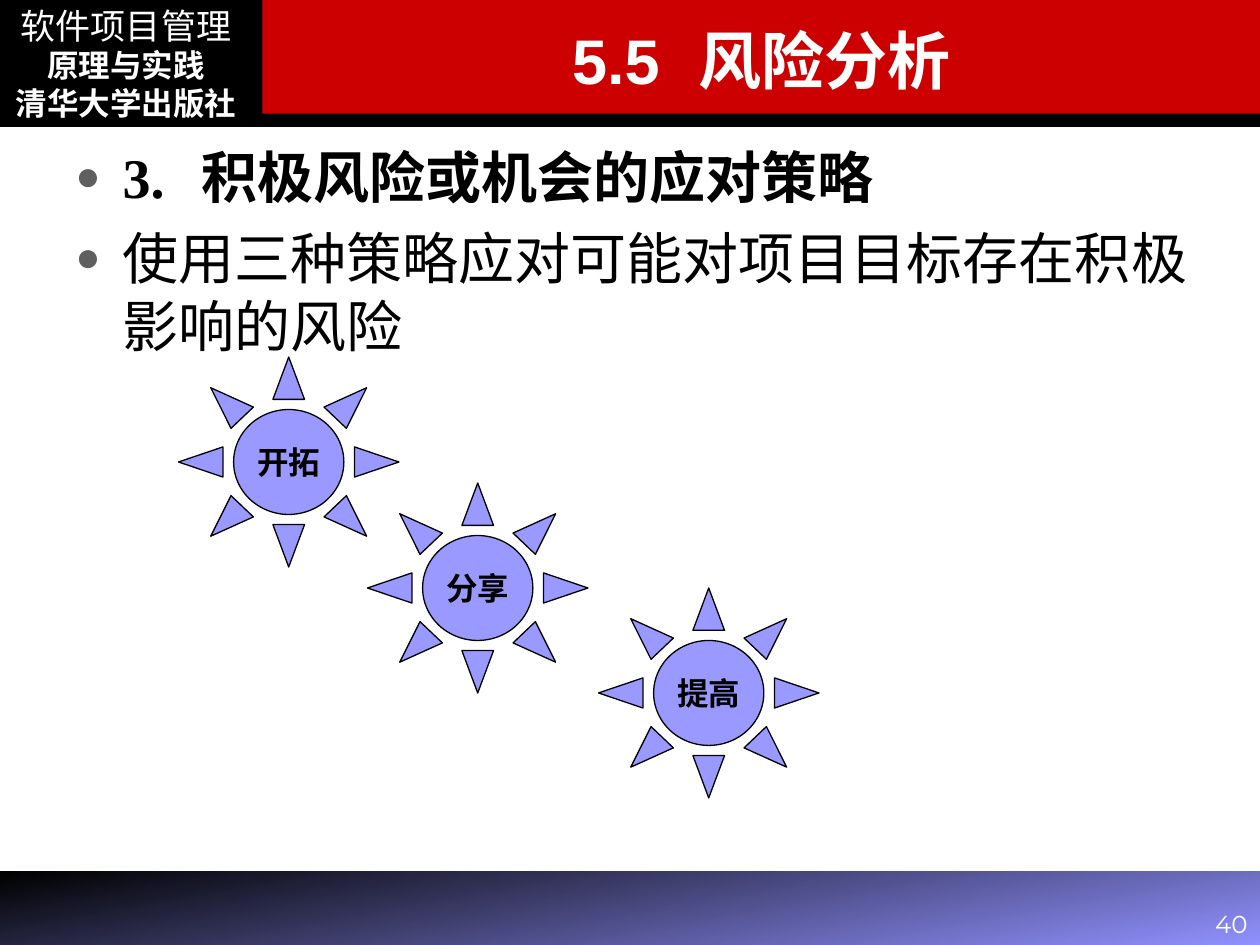
import pptx
import pptx.dml.color
import pptx.enum.shapes
import pptx.enum.text
import pptx.oxml
import pptx.oxml.ns
import pptx.util
from dataclasses import dataclass

Pt = pptx.util.Pt
Shape = pptx.enum.shapes.MSO_SHAPE
Align = pptx.enum.text.PP_ALIGN
Anchor = pptx.enum.text.MSO_ANCHOR
INCH = Pt(72)


@dataclass(frozen=True)
class Theme:
    black: str = "000000"
    white: str = "FFFFFF"
    banner: str = "CC0000"
    footer: str = "9191FF"
    sun: str = "9999FF"
    bullet: str = "5F5F5F"
    serif: str = "Times New Roman"
    sans: str = "Arial"
    number: str = "Montserrat"
    title_size: int = 36
    body_size: int = 32
    series_size: int = 20
    label_size: int = 18
    number_size: int = 14


def rgb(value):
    return pptx.dml.color.RGBColor.from_string(value)


class SlideBuilder:
    def __init__(self, slide, theme):
        self.slide = slide
        self.theme = theme

    def shape(self, kind, left, top, width, height, fill, line_width=0):
        shape = self.slide.shapes.add_shape(kind, Pt(left), Pt(top), Pt(width), Pt(height))
        shape.shadow.inherit = False
        shape.fill.solid()
        shape.fill.fore_color.rgb = rgb(fill)
        if line_width:
            shape.line.color.rgb = rgb(self.theme.black)
            shape.line.width = Pt(line_width)
        else:
            shape.line.fill.background()
        return shape

    def gradient_bar(self, left, top, width, height, colors):
        bar = self.shape(Shape.RECTANGLE, left, top, width, height, colors[0])
        bar.fill.gradient()
        bar.fill.gradient_angle = 280
        for stop, color, position in zip(bar.fill.gradient_stops, colors, (0, 1)):
            stop.color.rgb = rgb(color)
            stop.position = position

    def text_box(self, left, top, width, height, anchor):
        box = self.slide.shapes.add_textbox(Pt(left), Pt(top), Pt(width), Pt(height))
        box.text_frame.word_wrap = True
        box.text_frame.vertical_anchor = anchor
        return box.text_frame

    def paragraph(self, frame, text, size, font, color, bold=False, align=Align.LEFT):
        first = frame.paragraphs[0]
        para = frame.add_paragraph() if first.runs else first
        para.alignment = align
        span = para.add_run()
        span.text = text
        span.font.size = Pt(size)
        span.font.name = font
        span.font.bold = bold
        span.font.color.rgb = rgb(color)
        return para

    def tabs(self, para, inches):
        stops = "".join(f'<a:tab pos="{INCH * inch}" algn="l"/>' for inch in inches)
        namespace = pptx.oxml.ns.nsdecls("a")
        para._p.get_or_add_pPr().append(
            pptx.oxml.parse_xml(f"<a:tabLst {namespace}>{stops}</a:tabLst>"))

    def bullet(self, frame, text, bold=False):
        theme = self.theme
        first = not frame.paragraphs[0].runs
        para = self.paragraph(frame, text, theme.body_size, theme.serif, theme.black, bold)
        properties = para._p.get_or_add_pPr()
        properties.set("marL", str(Pt(27)))
        properties.set("indent", str(-Pt(27)))
        namespace = pptx.oxml.ns.nsdecls("a")
        for xml in (
            f'<a:buClr {namespace}><a:srgbClr val="{theme.bullet}"/></a:buClr>',
            f'<a:buSzPct {namespace} val="75000"/>',
            f'<a:buFont {namespace} typeface="{theme.sans}"/>',
            f'<a:buChar {namespace} char="●"/>',
        ):
            properties.append(pptx.oxml.parse_xml(xml))
        self.tabs(para, range(1, 9))
        para.space_before = Pt(0 if first else 8)

    def sun(self, left, top, label):
        theme = self.theme
        sun = self.shape(Shape.SUN, left, top, 126, 120, theme.sun, 0.75)
        sun.adjustments[0] = 0.25
        frame = sun.text_frame
        frame.word_wrap = False
        frame.vertical_anchor = Anchor.MIDDLE
        self.paragraph(frame, label, theme.label_size, theme.serif, theme.black, True, Align.CENTER)


def main():
    theme = Theme()
    deck = pptx.Presentation()
    deck.slide_width, deck.slide_height = Pt(720), Pt(540)
    page = SlideBuilder(deck.slides.add_slide(deck.slide_layouts[6]), theme)

    page.gradient_bar(0, 498, 720, 42, (theme.black, theme.footer))
    page.shape(Shape.RECTANGLE, 0, 0, 720, 72, theme.black, 1)
    page.shape(Shape.RECTANGLE, 150, -1, 570, 66, theme.banner)

    series = page.text_box(6, 6, 132, 60, Anchor.MIDDLE)
    series.margin_left = series.margin_right = 0
    for text, size, bold in (
        ("软件项目管理", theme.series_size, False),
        ("原理与实践", theme.label_size, True),
        ("清华大学出版社", theme.label_size, True),
    ):
        page.paragraph(series, text, size, theme.serif, theme.white, bold, Align.CENTER)

    number = page.text_box(626, 520, 94, 20, Anchor.BOTTOM)
    page.paragraph(number, "40", theme.number_size, theme.number, theme.white, align=Align.RIGHT)

    title = page.text_box(150, 7.5, 570, 52.5, Anchor.MIDDLE)
    heading = page.paragraph(title, "5.5\t风险分析", theme.title_size, theme.sans,
                             theme.white, True, Align.CENTER)
    page.tabs(heading, range(8))

    body = page.text_box(36, 78, 654, 414, Anchor.TOP)
    page.bullet(body, "3.\t积极风险或机会的应对策略", bold=True)
    page.bullet(body, "使用三种策略应对可能对项目目标存在积极影响的风险")

    for left, top, label in ((102, 204, "开拓"), (210, 276, "分享"), (342, 336, "提高")):
        page.sun(left, top, label)

    deck.save("out.pptx")


if __name__ == "__main__":
    main()
